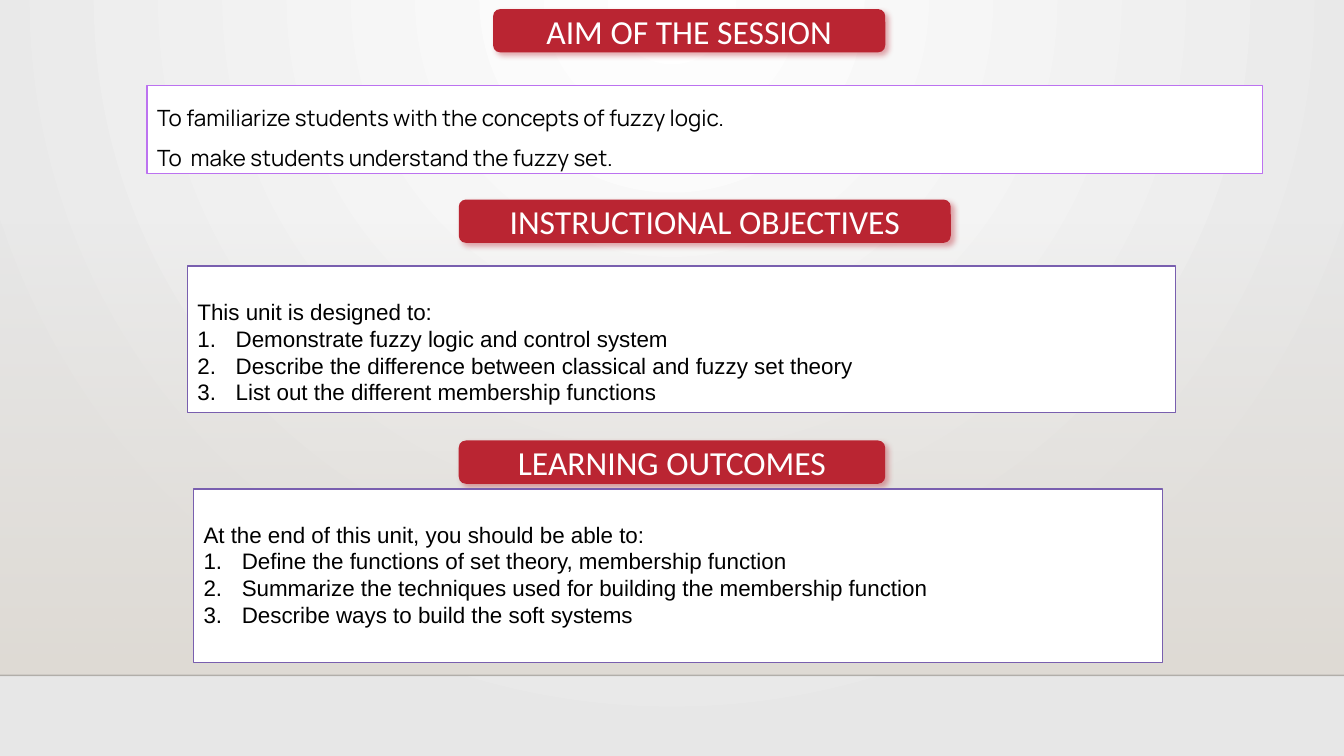
from dataclasses import dataclass
from lxml.etree import SubElement
from pptx import Presentation
from pptx.dml.color import RGBColor
from pptx.enum.shapes import MSO_CONNECTOR, MSO_SHAPE
from pptx.enum.text import MSO_ANCHOR, PP_ALIGN
from pptx.oxml import parse_xml
from pptx.oxml.ns import nsdecls, qn
from pptx.util import Inches, Pt


@dataclass(frozen=True)
class Theme:
    white: str = "FFFFFF"
    edge: str = "E7E7E7"
    sand: str = "DFDBD5"
    ink: str = "000000"
    rule: str = "000001"
    red: str = "BA2532"
    pink: str = "BC72F0"
    violet: str = "795FAF"
    head: int = 24
    body: int = 16


def stop(pos, tone, alpha=100):
    return (f'<a:gs pos="{pos * 1000}"><a:srgbClr val="{tone}">'
            f'<a:alpha val="{alpha * 1000}"/></a:srgbClr></a:gs>')


def blend(owner, stops, shade):
    old = owner.find(".//" + qn("a:gradFill"))
    new = parse_xml(f'<a:gradFill {nsdecls("a")} rotWithShape="1">'
                    f'<a:gsLst>{"".join(stops)}</a:gsLst>{shade}</a:gradFill>')
    old.getparent().replace(old, new)


class Deck:
    def __init__(self, theme):
        self.theme = theme
        self.show = Presentation()
        self.show.slide_width = Inches(13.33)
        self.show.slide_height = Inches(7.5)
        self.slide = self.show.slides.add_slide(self.show.slide_layouts[6])

    def back(self):
        look = self.theme
        self.slide.background.fill.gradient()
        blend(self.slide.element, [stop(0, look.white), stop(100, look.edge)],
              '<a:path path="circle"><a:fillToRect l="43000" t="0" '
              'r="43000" b="100000"/></a:path>')
        wash = self.shape(MSO_SHAPE.RECTANGLE, (0, 2.21, 13.33, 4.49))
        wash.fill.gradient()
        blend(wash.element, [stop(0, look.sand, 0), stop(100, look.sand)],
              '<a:lin ang="5400000" scaled="0"/>')

    def floor(self, top):
        line = self.slide.shapes.add_connector(
            MSO_CONNECTOR.STRAIGHT, 0, Inches(top), Inches(13.33), Inches(top))
        line.line.width = Pt(1)
        line.line.color.rgb = RGBColor.from_string(self.theme.rule)
        tone = line.element.find(".//" + qn("a:ln")).find(".//" + qn("a:srgbClr"))
        SubElement(tone, qn("a:alpha"), val="20000")
        SubElement(line.element.spPr, qn("a:effectLst"))

    def shape(self, kind, area, fill=None, edge=None):
        shape = self.slide.shapes.add_shape(kind, *map(Inches, area))
        shape.shadow.inherit = False
        if fill:
            shape.fill.solid()
            shape.fill.fore_color.rgb = RGBColor.from_string(fill)
        if edge:
            shape.line.color.rgb = RGBColor.from_string(edge)
            shape.line.width = Pt(1)
        else:
            shape.line.fill.background()
        shape.text_frame.word_wrap = True
        return shape

    def text(self, para, words, face, size, tone):
        run = para.add_run()
        run.text = words
        run.font.name = face
        run.font.size = Pt(size)
        run.font.color.rgb = RGBColor.from_string(tone)

    def title(self, words, area):
        look = self.theme
        shape = self.shape(MSO_SHAPE.ROUNDED_RECTANGLE, area, look.red)
        glow = shape.element.spPr.find(qn("a:effectLst"))
        glow.append(parse_xml(
            f'<a:outerShdw {nsdecls("a")} blurRad="{Pt(4)}" dist="{Pt(3)}" '
            f'dir="2700000" algn="tl" rotWithShape="0"><a:srgbClr val="{look.red}">'
            '<a:alpha val="40000"/></a:srgbClr></a:outerShdw>'))
        shape.text_frame.vertical_anchor = MSO_ANCHOR.MIDDLE
        para = shape.text_frame.paragraphs[0]
        para.alignment = PP_ALIGN.CENTER
        self.text(para, words, "Calibri", look.head, look.white)

    def panel(self, area, edge, face, plain, space, items=()):
        look = self.theme
        shape = self.shape(MSO_SHAPE.RECTANGLE, area, look.white, edge)
        frame = shape.text_frame
        frame.vertical_anchor = MSO_ANCHOR.TOP
        for rank, words in enumerate([*plain, *items]):
            para = frame.add_paragraph() if rank else frame.paragraphs[0]
            para.alignment = PP_ALIGN.LEFT
            if rank < len(plain):
                para.line_spacing = space
            else:
                props = para._p.get_or_add_pPr()
                props.set("marL", str(Inches(0.38)))
                props.set("indent", str(-Inches(0.38)))
                SubElement(props, qn("a:buFont"), typeface="+mj-lt")
                SubElement(props, qn("a:buAutoNum"), type="arabicPeriod")
            self.text(para, words, face, look.body, look.ink)


def main():
    theme = Theme()
    deck = Deck(theme)
    deck.back()
    deck.floor(6.7)
    deck.title("AIM OF THE SESSION", (4.89, 0.09, 3.89, 0.43))
    deck.panel((1.46, 0.85, 11.06, 0.87), theme.pink, "Manrope",
               ["To familiarize students with the concepts of fuzzy logic.",
                "To  make students understand the fuzzy set."], 1.5)
    deck.title("INSTRUCTIONAL OBJECTIVES", (4.55, 1.98, 4.88, 0.43))
    deck.panel((1.86, 2.64, 9.8, 1.45), theme.violet, "Arial",
               ["This unit is designed to:"], 2.0,
               ["Demonstrate fuzzy logic and control system",
                "Describe the difference between classical and fuzzy set theory",
                "List out the different membership functions"])
    deck.title("LEARNING OUTCOMES", (4.55, 4.37, 4.23, 0.43))
    deck.panel((1.92, 4.85, 9.61, 1.72), theme.violet, "Arial",
               ["At the end of this unit, you should be able to:"], 2.0,
               ["Define the functions of set theory, membership function",
                "Summarize the techniques used for building the membership function",
                "Describe ways to build the soft systems"])
    deck.show.save("out.pptx")


if __name__ == "__main__":
    main()
